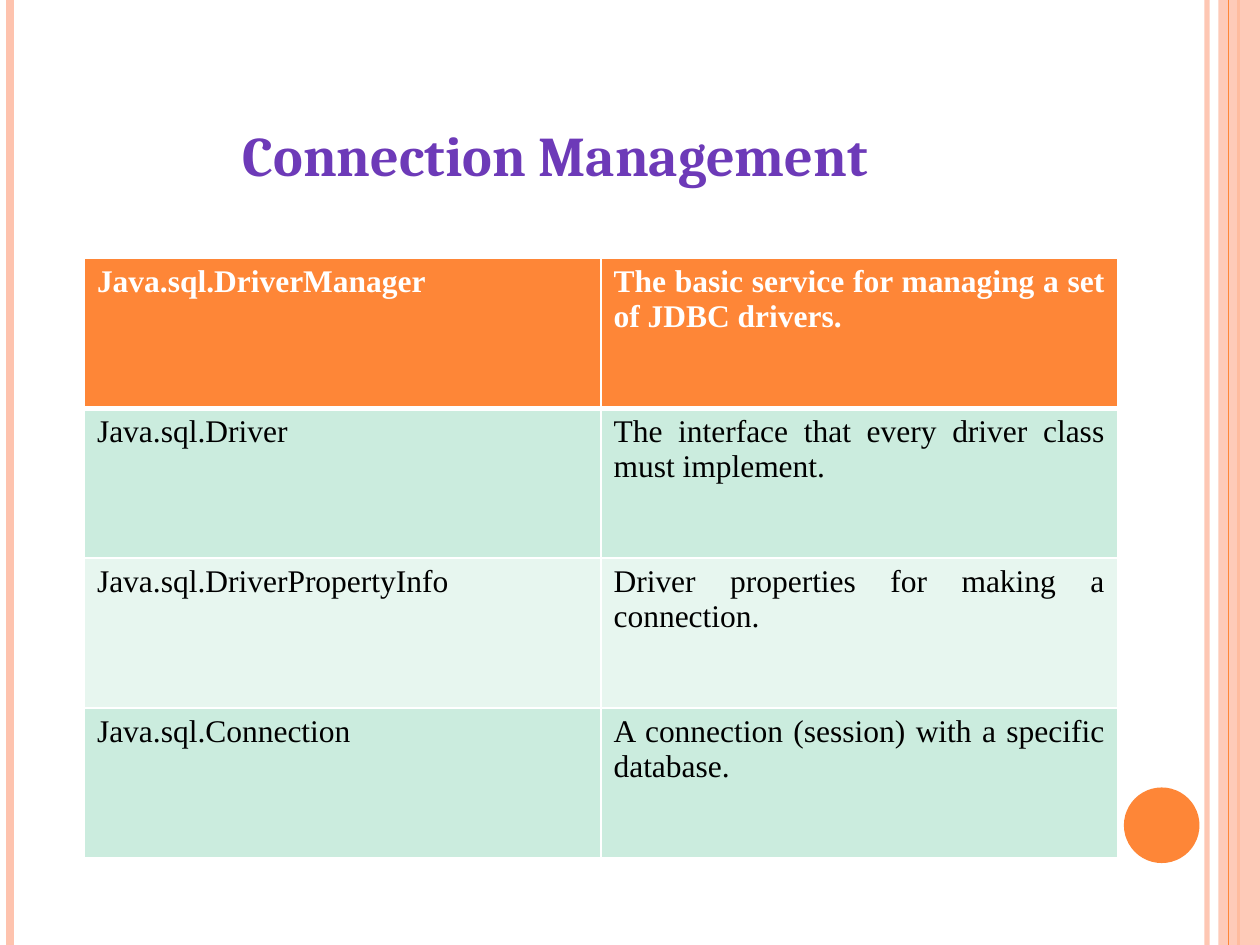
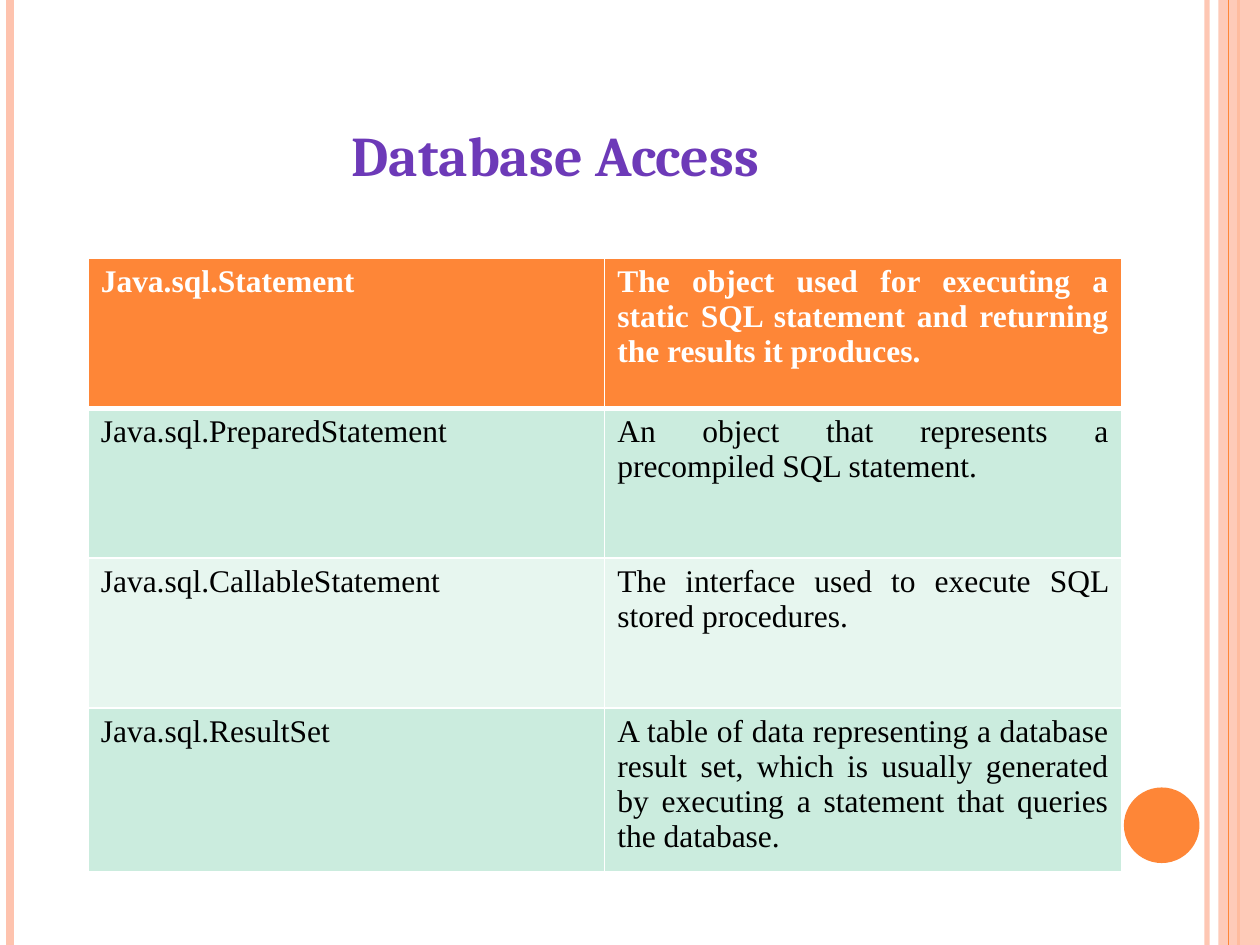
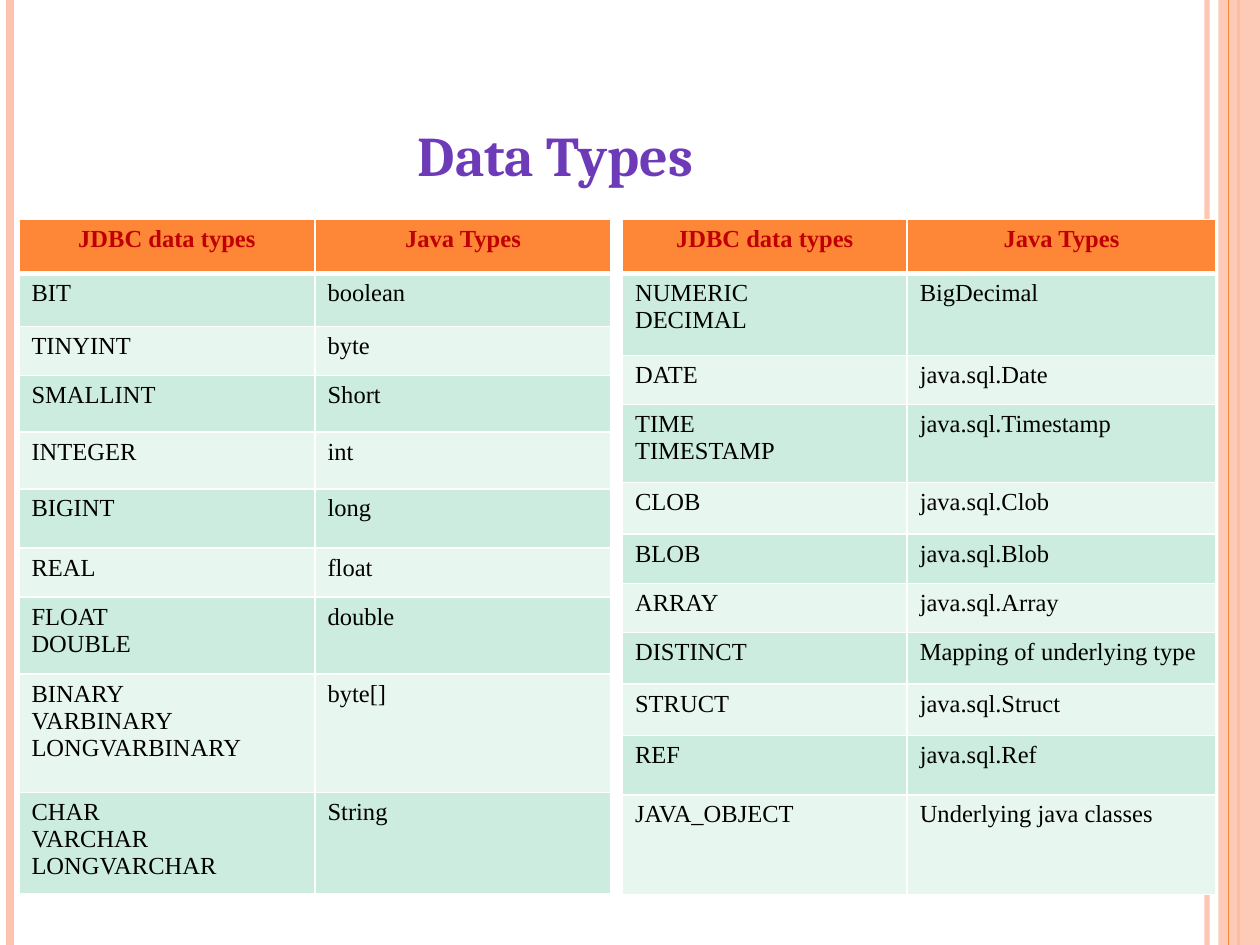
import pptx
import pptx.util
import pptx.dml.color
import pptx.enum.shapes
import pptx.enum.text
import pptx.oxml
import pptx.oxml.ns

Inches, Pt = pptx.util.Inches, pptx.util.Pt
RGB = pptx.dml.color.RGBColor.from_string
ALIGN = pptx.enum.text.PP_ALIGN
SHAPE = pptx.enum.shapes.MSO_SHAPE
STRAIGHT = pptx.enum.shapes.MSO_CONNECTOR.STRAIGHT
qn = pptx.oxml.ns.qn
NS = pptx.oxml.ns.nsdecls("a")

COLORS = {
    "white": "FFFFFF", "black": "000000", "peach": "FEC3AE", "orange": "FE8637",
    "purple": "6D3AB8", "red": "C00000", "mint": "CBECDE", "pale": "E7F6EF",
}
TYPE_HEADS = ("JDBC data types", "Java Types")

# Each table: left, top, column widths, row heights, text size,
# header colour, header alignment, rows
SLIDES = [
    ("Connection Management", [
        (0.67, 2.05, [4.1] * 2, [1.19] * 4, 18, "white", ALIGN.JUSTIFY, [
            ("Java.sql.DriverManager", "The basic service for managing a set of JDBC drivers."),
            ("Java.sql.Driver", "The interface that every driver class must implement."),
            ("Java.sql.DriverPropertyInfo", "Driver properties for making a connection."),
            ("Java.sql.Connection", "A connection (session) with a specific database."),
        ]),
    ]),
    ("Database Access", [
        (0.7, 2.05, [4.1] * 2, [1.19] * 4, 18, "white", ALIGN.JUSTIFY, [
            ("Java.sql.Statement", "The object used for executing a static SQL statement "
             "and returning the results it produces."),
            ("Java.sql.PreparedStatement", "An object that represents a precompiled SQL statement."),
            ("Java.sql.CallableStatement", "The interface used to execute SQL stored procedures."),
            ("Java.sql.ResultSet", "A table of data representing a database result set, which is "
             "usually generated by executing a statement that queries the database."),
        ]),
    ]),
    ("Data Types", [
        (0.15, 1.74, [2.35] * 2,
         [0.43, 0.42, 0.39, 0.45, 0.45, 0.47, 0.39, 0.61, 0.94, 0.79],
         14, "red", ALIGN.CENTER, [
            TYPE_HEADS,
            ("BIT", "boolean"),
            ("TINYINT", "byte"),
            ("SMALLINT", "Short"),
            ("INTEGER", "int"),
            ("BIGINT", "long"),
            ("REAL", "float"),
            ("FLOAT\nDOUBLE", "double"),
            ("BINARY\nVARBINARY\nLONGVARBINARY", "byte[]"),
            ("CHAR\nVARCHAR\nLONGVARCHAR", "String"),
        ]),
        (4.94, 1.74, [2.26, 2.45],
         [0.43, 0.65, 0.39, 0.62, 0.41, 0.39, 0.39, 0.41, 0.41, 0.47, 0.79],
         14, "red", ALIGN.CENTER, [
            TYPE_HEADS,
            ("NUMERIC\nDECIMAL", "BigDecimal"),
            ("DATE", "java.sql.Date"),
            ("TIME\nTIMESTAMP", "java.sql.Timestamp"),
            ("CLOB", "java.sql.Clob"),
            ("BLOB", "java.sql.Blob"),
            ("ARRAY", "java.sql.Array"),
            ("DISTINCT", "Mapping of underlying type"),
            ("STRUCT", "java.sql.Struct"),
            ("REF", "java.sql.Ref"),
            ("JAVA_OBJECT", "Underlying java classes"),
        ]),
    ]),
]


def write(tf, text, *, size, color, font="Times New Roman", bold=False, align=ALIGN.JUSTIFY):
    """Fill a text frame, one paragraph for each line of text."""
    for i, line in enumerate(text.split("\n")):
        p = tf.add_paragraph() if i else tf.paragraphs[0]
        p.alignment = align
        r = p.add_run()
        r.text = line
        r.font.name, r.font.size, r.font.bold = font, Pt(size), bold
        r.font.color.rgb = RGB(COLORS[color])


def add_rail(slide, x, color, width):
    """Draw a vertical line over the full height of the slide."""
    s = slide.shapes.add_connector(STRAIGHT, Inches(x), 0, Inches(x), prs.slide_height)
    s.line.color.rgb = RGB(COLORS[color])
    s.line.width = Pt(width)
    s._element.spPr.append(pptx.oxml.parse_xml(f"<a:effectLst {NS}/>"))
    return s


prs = pptx.Presentation()
prs.slide_width, prs.slide_height = Inches(10), Inches(7.5)

for title, tables in SLIDES:
    slide = prs.slides.add_slide(prs.slide_layouts[6])

    # Side rails, right band and disc
    inner_rail = add_rail(slide, 9.58, "peach", 3)
    add_rail(slide, 0.08, "peach", 4.5)
    add_rail(slide, 9.83, "orange", 1.5)
    band = slide.shapes.add_shape(SHAPE.RECTANGLE, Inches(9.67), 0, Inches(0.33), prs.slide_height)
    add_rail(slide, 9.75, "orange", 0.75)
    disc = slide.shapes.add_shape(SHAPE.OVAL, Inches(8.92), Inches(6.25), Inches(0.6), Inches(0.6))
    for s, color in ((band, "peach"), (disc, "orange")):
        s.shadow.inherit = False
        s.fill.solid()
        s.fill.fore_color.rgb = RGB(COLORS[color])
        s.line.fill.background()
    for s, percent in ((inner_rail, 93), (band, 87)):
        clr = next(s._element.spPr.iter(qn("a:srgbClr")))
        clr.append(pptx.oxml.parse_xml(f'<a:alpha {NS} val="{percent * 1000}"/>'))

    tb = slide.shapes.add_textbox(Inches(0.17), Inches(0.91), Inches(8.48), Inches(0.67))
    tb.text_frame.word_wrap = True
    write(tb.text_frame, title, size=32, color="purple", font="Cambria", bold=True,
          align=ALIGN.CENTER)

    for left, top, widths, heights, size, head_color, head_align, rows in tables:
        table = slide.shapes.add_table(
            len(rows), len(widths), Inches(left), Inches(top),
            Inches(sum(widths)), Inches(sum(heights))).table
        table.horz_banding = False
        for col, width in zip(table.columns, widths):
            col.width = Inches(width)
        for i, (row, height, texts) in enumerate(zip(table.rows, heights, rows)):
            row.height = Inches(height)
            head = i == 0
            fill = "orange" if head else "mint" if i % 2 else "pale"
            borders = {"L": 1, "R": 1, "T": 3 if i == 1 else 1, "B": 3 if head else 1}
            for cell, text in zip(row.cells, texts):
                for side, width in borders.items():
                    cell._tc.get_or_add_tcPr().append(pptx.oxml.parse_xml(
                        f'<a:ln{side} {NS} w="{Pt(width)}"><a:solidFill>'
                        f'<a:srgbClr val="{COLORS["white"]}"/></a:solidFill></a:ln{side}>'))
                cell.fill.solid()
                cell.fill.fore_color.rgb = RGB(COLORS[fill])
                write(cell.text_frame, text, size=size, bold=head,
                      color=head_color if head else "black",
                      align=head_align if head else ALIGN.JUSTIFY)

prs.save("out.pptx")
